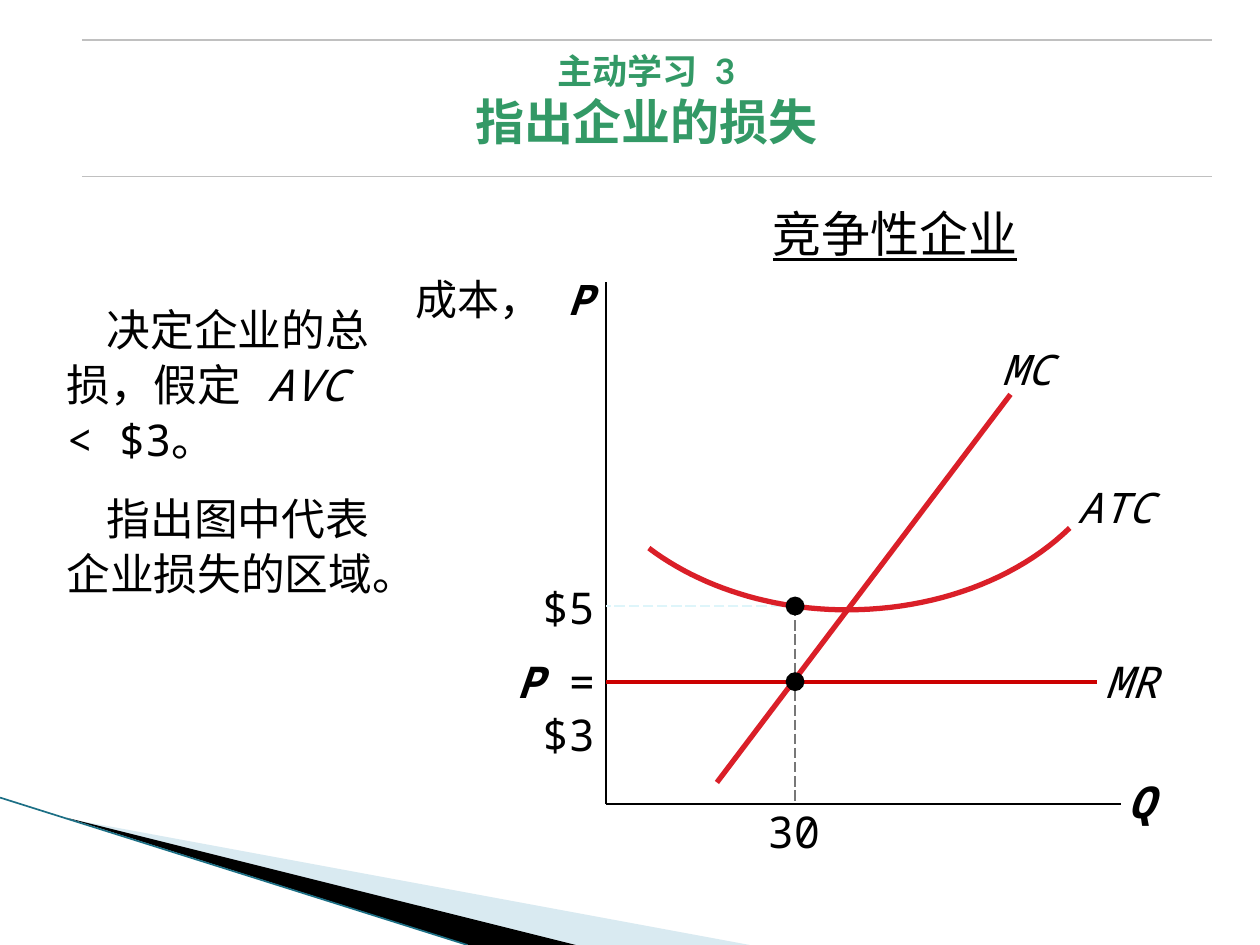
from pptx import Presentation
from pptx.dml.color import RGBColor
from pptx.enum.dml import MSO_LINE
from pptx.enum.shapes import MSO_CONNECTOR, MSO_SHAPE
from pptx.enum.text import MSO_ANCHOR, MSO_AUTO_SIZE, PP_ALIGN
from pptx.oxml.ns import qn
from pptx.util import Inches, Pt
from lxml import etree

LEFT, CENTER, RIGHT = PP_ALIGN.LEFT, PP_ALIGN.CENTER, PP_ALIGN.RIGHT
DASH = MSO_LINE.LONG_DASH
MONO, SANS = "Noto Sans Mono", "Lato"
COLORS = {"ink": "000000", "title": "339966", "rule": "C0C0C0", "curve": "DA1F28",
          "revenue": "CC0000", "cost guide": "DEF5FA", "quantity guide": "777777",
          "wedge": "A0CBDC", "edge": "1C6F85"}

AXIS_X, AXIS_Y = 4.81, 6.38
QUANTITY, COST, PRICE = 6.31, 4.81, 5.41
DOT = 0.15

TITLE = [("主动学习  3", 20), ("指出企业的损失", 28)]
WEDGES = [
    ("wedge", 40, [(0.55, 6.5), (5.95, 7.5), (4.56, 7.5)]),
    ("ink", 100, [(0.53, 6.49), (4.57, 7.5), (3.72, 7.5)]),
]
RULES = [
    ((0, 6.33), (3.71, 7.5), "edge", 0.95, None),
    ((0.65, 0.32), (9.62, 0.32), "rule", 1, None),
    ((0.65, 1.4), (9.62, 1.4), "rule", 1, None),
]
GRAPH_LINES = [
    ((AXIS_X, 2.24), (AXIS_X, AXIS_Y), "ink", 0.75, None),
    ((AXIS_X, AXIS_Y), (8.9, AXIS_Y), "ink", 0.75, None),
    ((5.69, 6.21), (8.02, 3.13), "curve", 3, None),
    ((QUANTITY, COST), (AXIS_X, COST), "cost guide", 0.75, DASH),
    ((AXIS_X, PRICE), (8.71, PRICE), "revenue", 2.25, None),
    ((QUANTITY, COST), (QUANTITY, AXIS_Y), "quantity guide", 0.75, DASH),
]
ATC_CURVE = [
    [(8.49, 4.19), (8.07, 4.6), (7.42, 4.84), (6.72, 4.84)],
    [(6.72, 4.84), (6.13, 4.84), (5.56, 4.66), (5.15, 4.35)],
]
TASKS = [
    [("决定企业的总损，假定 ", ""), ("AVC", "i"), (" < $3。", "")],
    [("指出图中代表企业损失的区域。", "")],
]
LABELS = [
    ((8.85, 6.1, 0.59, 0.52), True, LEFT, 25, [("Q", "bi")]),
    ((2.97, 2.12, 1.83, 0.5), True, RIGHT, 24, [("成本， ", ""), ("P", "bi")]),
    ((7.95, 2.73, 0.66, 0.4), False, LEFT, 24, [("MC", "i")]),
    ((8.55, 3.82, 0.81, 0.4), False, LEFT, 24, [("ATC", "i")]),
    ((5.39, 1.57, 3.43, 0.53), True, CENTER, 28, [("竞争性企业", "u")]),
    ((4.21, 4.61, 0.51, 0.42), False, RIGHT, 25, [("$5", "")]),
    ((3.38, 5.15, 1.44, 0.52), True, RIGHT, 25, [("P", "bi"), (" = $3", "")]),
    ((8.77, 5.2, 0.66, 0.42), False, LEFT, 25, [("MR", "i")]),
    ((6.07, 6.39, 0.46, 0.42), False, CENTER, 25, [("30", "")]),
]


def color(name):
    return RGBColor.from_string(COLORS[name])


def place(shape, area):
    shape.left, shape.top, shape.width, shape.height = map(Inches, area)


def add_span(para, text, size, font, ink, style=""):
    span = para.add_run()
    span.text = text
    span.font.size = Pt(size)
    span.font.name = font
    span.font.color.rgb = color(ink)
    span.font.bold = "b" in style
    span.font.italic = "i" in style
    span.font.underline = "u" in style
    latin = span.font._element.find(qn("a:latin"))
    east_asian = etree.Element(qn("a:ea"), typeface=font)
    latin.addnext(east_asian)


def add_box(page, area, padded=True):
    box = page.shapes.add_textbox(*map(Inches, area))
    frame = box.text_frame
    frame.word_wrap = True
    if not padded:
        frame.margin_left = frame.margin_right = 0
        frame.margin_top = frame.margin_bottom = 0
    return frame


def add_line(page, start, end, ink, width, dash):
    line = page.shapes.add_connector(MSO_CONNECTOR.STRAIGHT, *map(Inches, start + end))
    line.line.color.rgb = color(ink)
    line.line.width = Pt(width)
    if dash:
        line.line.dash_style = dash
    etree.SubElement(line._element.spPr, qn("a:effectLst"))


def add_outline(page, points, close):
    corners = [(Inches(x), Inches(y)) for x, y in points]
    builder = page.shapes.build_freeform(*corners[0])
    builder.add_line_segments(corners[1:], close=close)
    outline = builder.convert_to_shape()
    outline.shadow.inherit = False
    return outline


def bezier(points, steps=24):
    for step in range(steps + 1):
        t = step / steps
        weights = ((1 - t) ** 3, 3 * t * (1 - t) ** 2, 3 * t * t * (1 - t), t ** 3)
        yield tuple(sum(w * p[axis] for w, p in zip(weights, points)) for axis in (0, 1))


deck = Presentation()
deck.slide_width, deck.slide_height = Inches(10), Inches(7.5)
page = deck.slides.add_slide(deck.slide_layouts[5])

for ink, opacity, corners in WEDGES:
    wedge = add_outline(page, corners, True)
    wedge.fill.solid()
    wedge.fill.fore_color.rgb = color(ink)
    wedge.line.fill.background()
    if opacity < 100:
        tint = wedge._element.spPr.find(qn("a:solidFill"))[0]
        etree.SubElement(tint, qn("a:alpha"), val=str(opacity * 1000))

title = page.shapes.title
place(title, (0.64, 0.39, 8.98, 1.04))
frame = title.text_frame
frame.auto_size = MSO_AUTO_SIZE.NONE
frame.vertical_anchor = MSO_ANCHOR.TOP
frame.margin_top = frame.margin_bottom = 0
heading = frame.paragraphs[0]
heading.alignment = CENTER
for number, (text, size) in enumerate(TITLE):
    if number:
        heading.add_line_break()
    add_span(heading, text, size, SANS, "title", "b")

for rule in RULES:
    add_line(page, *rule)

frame = add_box(page, (0.43, 2.33, 2.68, 4.62))
for number, task in enumerate(TASKS):
    para = frame.add_paragraph() if number else frame.paragraphs[0]
    para.line_spacing = 1.05
    para.space_before = Pt(14 if number else 0)
    para._p.get_or_add_pPr().set("indent", str(Inches(0.32)))
    for text, style in task:
        add_span(para, text, 25, MONO, "ink", style)

for line in GRAPH_LINES:
    add_line(page, *line)

falling, rising = map(list, map(bezier, ATC_CURVE))
curve = add_outline(page, falling + rising[1:], False)
curve.fill.background()
curve.line.color.rgb = color("curve")
curve.line.width = Pt(3)

for area, padded, alignment, size, spans in LABELS:
    para = add_box(page, area, padded).paragraphs[0]
    para.alignment = alignment
    for text, style in spans:
        add_span(para, text, size, MONO, "ink", style)

for height in (PRICE, COST):
    dot = page.shapes.add_shape(MSO_SHAPE.OVAL, Inches(QUANTITY - DOT / 2),
                                Inches(height - DOT / 2), Inches(DOT), Inches(DOT))
    dot.shadow.inherit = False
    dot.fill.solid()
    dot.fill.fore_color.rgb = color("ink")
    dot.line.fill.background()

deck.save("out.pptx")
